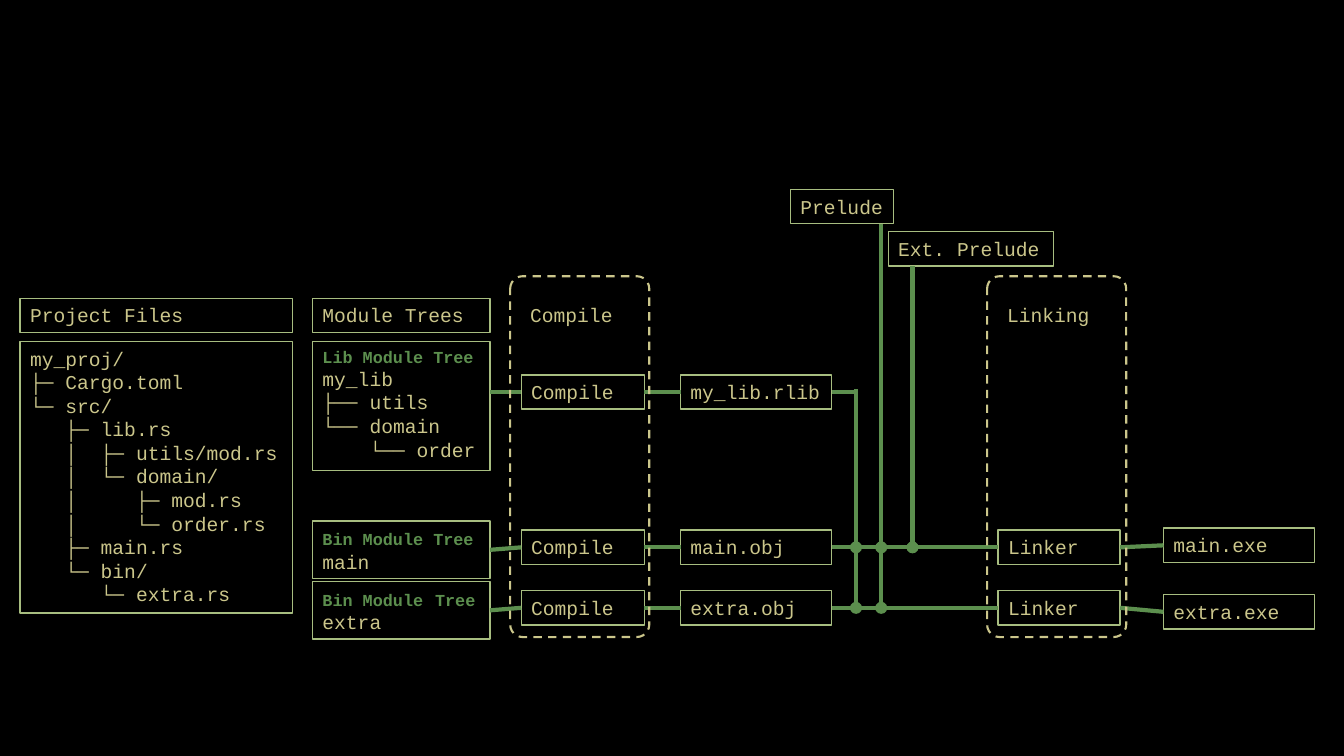
"""Build a slide showing how project files become module trees, objects and executables."""
from lxml.etree import SubElement
from pptx import Presentation
from pptx.dml.color import RGBColor
from pptx.enum.dml import MSO_LINE
from pptx.enum.shapes import MSO_CONNECTOR, MSO_SHAPE
from pptx.enum.text import MSO_ANCHOR, MSO_AUTO_SIZE, PP_ALIGN
from pptx.oxml.ns import qn
from pptx.util import Inches, Pt

COLORS = {"ground": "000000", "text": "CBC68B", "border": "A7BD80", "link": "5C8F4E"}
FONT = "Courier New"
LABEL_H = 0.34
DOT = 0.12
TOP, LEFT, BOTTOM, RIGHT = range(4)

PROJECT_TREE = [
    "my_proj/",
    "├─ Cargo.toml",
    "└─ src/",
    "   ├─ lib.rs",
    "   │  ├─ utils/mod.rs",
    "   │  └─ domain/",
    "   │     ├─ mod.rs",
    "   │     └─ order.rs",
    "   ├─ main.rs",
    "   └─ bin/",
    "      └─ extra.rs",
]
LIB_TREE = ["my_lib", "├── utils", "└── domain", "    └── order"]

# column: (left, width)
COLUMNS = {
    "files": (0.2, 2.7),
    "trees": (3.1, 1.76),
    "compile": (5.17, 1.22),
    "objects": (6.75, 1.5),
    "linker": (9.9, 1.21),
    "programs": (11.54, 1.5),
}
ROWS = {"header": 2.96, "lib": 3.72, "main": 5.26, "extra": 5.86}
BUSES = {"lib": 8.49, "prelude": 8.74, "external": 9.05}

# key: (column, top, height, heading parts, lines)
PANELS = {
    "files": ("files", 3.39, 2.69, (), PROJECT_TREE),
    "lib": ("trees", 3.39, 1.28, ("Lib Module Tree",), LIB_TREE),
    "main": ("trees", 5.17, 0.57, ("Bin Module Tree", " "), ["main"]),
    "extra": ("trees", 5.77, 0.57, ("Bin Module", " ", "Tree"), ["extra"]),
}
HEADERS = {"files": "Project Files", "trees": "Module Trees"}
STAGES = {"Compile": (5.06, 5.16), "Linking": (9.79, 9.89)}
PRELUDES = [("Prelude", 7.84, 1.88, 1.02), ("Ext. Prelude", 8.81, 2.3, 1.64)]
# row: (object file, program, program top)
BUILDS = {
    "lib": ("my_lib.rlib", None, None),
    "main": ("main.obj", "main.exe", 5.24),
    "extra": ("extra.obj", "extra.exe", 5.9),
}

deck = Presentation()
deck.slide_width, deck.slide_height = Inches(13.33), Inches(7.5)
slide = deck.slides.add_slide(deck.slide_layouts[6])


def color(name):
    return RGBColor.from_string(COLORS[name])


slide.background.fill.solid()
slide.background.fill.fore_color.rgb = color("ground")


def add_preset(kind, left, top, width, height, fill=None, line=None, weight=1):
    shape = slide.shapes.add_shape(kind, *map(Inches, (left, top, width, height)))
    shape.shadow.inherit = False
    if fill:
        shape.fill.solid()
        shape.fill.fore_color.rgb = color(fill)
    else:
        shape.fill.background()
    if line:
        shape.line.color.rgb = color(line)
        shape.line.width = Pt(weight)
    else:
        shape.line.fill.background()
    return shape


def style(font, size=14, name="text", bold=False):
    font.name, font.size, font.bold = FONT, Pt(size), bold
    font.color.rgb = color(name)


def add_box(left, top, width, lines, height=LABEL_H, heading=(), line="border"):
    box = add_preset(MSO_SHAPE.RECTANGLE, left, top, width, height, "ground", line)
    frame = box.text_frame
    frame.word_wrap = True
    frame.auto_size = MSO_AUTO_SIZE.SHAPE_TO_FIT_TEXT
    frame.vertical_anchor = MSO_ANCHOR.TOP
    for index, content in enumerate(([heading] if heading else []) + lines):
        paragraph = frame.paragraphs[0] if index == 0 else frame.add_paragraph()
        paragraph.alignment = PP_ALIGN.LEFT
        if content is heading:
            for part in heading:
                run = paragraph.add_run()
                run.text = part
                if part == " ":
                    style(run.font)
                else:
                    style(run.font, 12, "link", True)
        else:
            paragraph.text = content
            style(paragraph.font)
    return box


def add_link(start, end, source=None, target=None):
    link = slide.shapes.add_connector(
        MSO_CONNECTOR.STRAIGHT, *map(Inches, (*start, *end)))
    link.line.color.rgb = color("link")
    link.line.width = Pt(3)
    SubElement(link._element.spPr, qn("a:effectLst"))
    if source:
        link.begin_connect(source, RIGHT)
    if target:
        link.end_connect(target, LEFT)


def add_label(column, top, text):
    left, width = COLUMNS[column]
    return add_box(left, top, width, [text])


panels = {}
for key, (column, top, height, heading, lines) in PANELS.items():
    left, width = COLUMNS[column]
    panels[key] = add_box(left, top, width, lines, height, heading)
for column, title in HEADERS.items():
    add_label(column, ROWS["header"], title)
for stage, (_, title_left) in STAGES.items():
    add_box(title_left, ROWS["header"], 1.23, [stage], line=None)
for prelude, left, top, width in PRELUDES:
    add_box(left, top, width, [prelude])

middle = {row: top + LABEL_H / 2 for row, top in ROWS.items()}
trees_right = sum(COLUMNS["trees"])
for row, (object_file, program, program_top) in BUILDS.items():
    compiler = add_label("compile", ROWS[row], "Compile")
    product = add_label("objects", ROWS[row], object_file)
    start, here = (trees_right, middle[row]), (0, 0)
    add_link(start, here, None if row == "lib" else panels[row], compiler)
    add_link(here, here, compiler, product)
    if program:
        linker = add_label("linker", ROWS[row], "Linker")
        executable = add_label("programs", program_top, program)
        add_link(here, here, product, linker)
        add_link(here, here, linker, executable)
    else:
        add_link(here, (BUSES["lib"], middle[row]), product)

BUS_SPANS = {
    "lib": (middle["lib"] - 0.03, ("main", "extra")),
    "prelude": (PRELUDES[0][2] + LABEL_H, ("main", "extra")),
    "external": (PRELUDES[1][2] + LABEL_H, ("main",)),
}
for bus, (top, joined_rows) in BUS_SPANS.items():
    x = BUSES[bus]
    add_link((x, top), (x, middle[joined_rows[-1]]))
    for row in joined_rows:
        add_preset(MSO_SHAPE.OVAL, x - DOT / 2, middle[row] - DOT / 2, DOT, DOT, "link")

for frame_left, _ in STAGES.values():
    outline = add_preset(MSO_SHAPE.ROUNDED_RECTANGLE, frame_left, 2.74, 1.38, 3.58,
                         line="text", weight=1.5)
    outline.adjustments[0] = 0.09
    outline.line.dash_style = MSO_LINE.DASH

deck.save("out.pptx")
